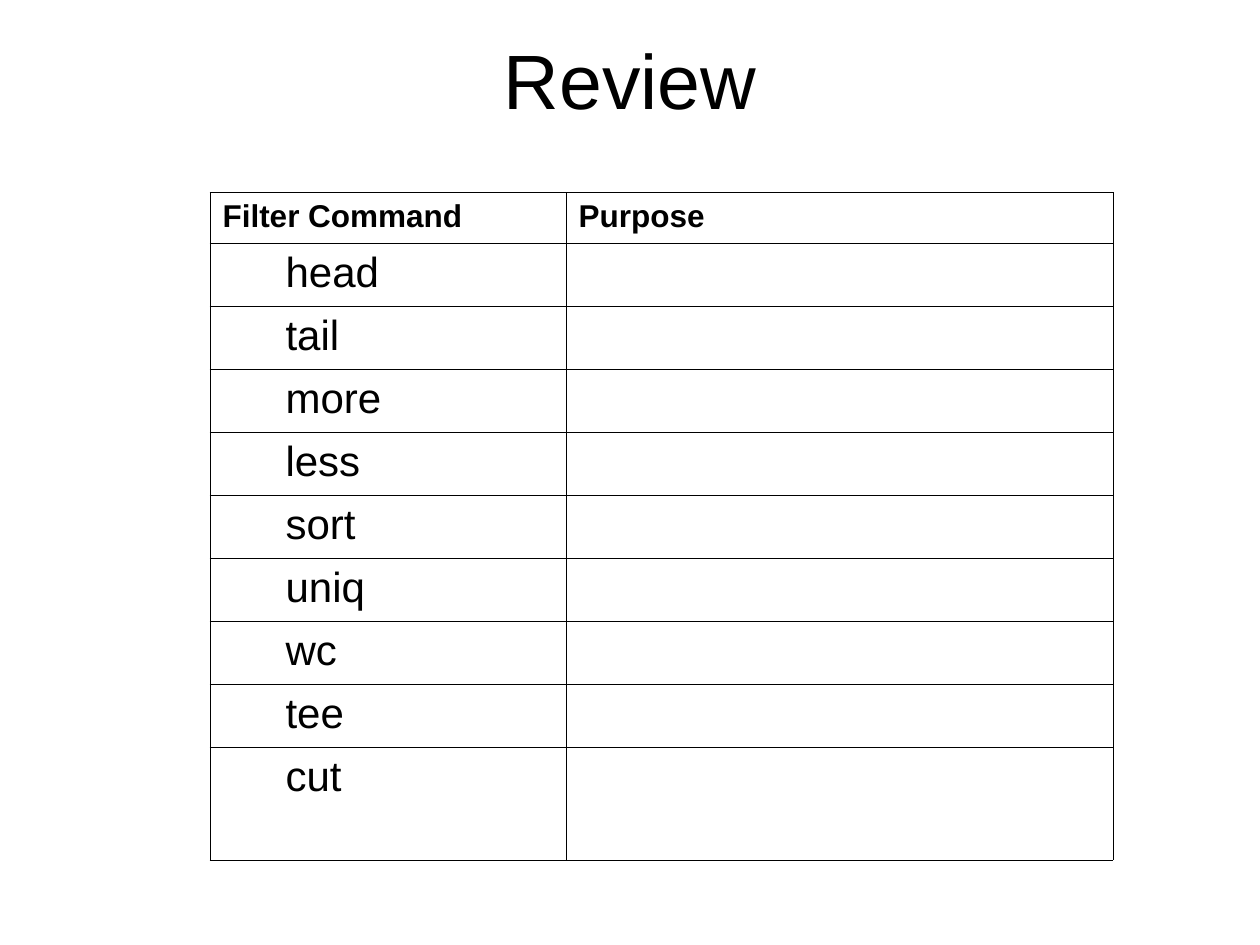
"""Build a review slide with a table of filter commands to fill in."""
from dataclasses import dataclass

from lxml.etree import SubElement
from pptx import Presentation
from pptx.dml.color import RGBColor
from pptx.enum.text import MSO_ANCHOR, PP_ALIGN
from pptx.oxml.ns import qn
from pptx.util import Pt

HEADING = "Review"
COLUMNS = ("Filter Command", "Purpose")
COMMANDS = ("head", "tail", "more", "less", "sort", "uniq", "wc", "tee", "cut")


@dataclass(frozen=True)
class Theme:
    font: str = "Arial"
    ink: str = "000000"
    paper: str = "FFFFFF"
    heading_size: float = 44
    column_size: float = 18
    command_size: float = 24
    rule: float = 0.45


THEME = Theme()
SLIDE_SIZE = (720, 540)
HEADING_BOX = (36, 0, 648, 90)
TABLE_ORIGIN = (120, 110)
COLUMN_WIDTHS = (203.5, 312.5)
ROW_HEIGHTS = (29, *[36] * (len(COMMANDS) - 1), 64.5)
COMMAND_INDENT = 36


def write(frame, text, *, size, bold=False, align=PP_ALIGN.LEFT, level=0, indent=0):
    paragraph = frame.paragraphs[0]
    paragraph.text = text
    paragraph.alignment = align
    paragraph.level = level
    if indent:
        properties = paragraph._p.get_or_add_pPr()
        properties.set("marL", str(Pt(indent)))
        properties.set("indent", "0")
    font = paragraph.font
    font.name = THEME.font
    font.size = Pt(size)
    font.bold = bold
    font.color.rgb = RGBColor.from_string(THEME.ink)


def style_cell(cell):
    properties = cell._tc.get_or_add_tcPr()
    for side in ("a:lnL", "a:lnR", "a:lnT", "a:lnB"):
        line = SubElement(properties, qn(side), w=str(Pt(THEME.rule)))
        ink = SubElement(line, qn("a:solidFill"))
        SubElement(ink, qn("a:srgbClr"), val=THEME.ink)
    cell.fill.solid()
    cell.fill.fore_color.rgb = RGBColor.from_string(THEME.paper)


def add_heading(slide):
    heading = slide.shapes.title
    heading.left, heading.top, heading.width, heading.height = map(Pt, HEADING_BOX)
    heading.text_frame.vertical_anchor = MSO_ANCHOR.MIDDLE
    write(heading.text_frame, HEADING, size=THEME.heading_size, align=PP_ALIGN.CENTER)


def add_commands(slide):
    extent = (sum(COLUMN_WIDTHS), sum(ROW_HEIGHTS))
    table = slide.shapes.add_table(
        len(ROW_HEIGHTS), len(COLUMNS), *map(Pt, TABLE_ORIGIN + extent)
    ).table
    table.horz_banding = False
    for column, width in zip(table.columns, COLUMN_WIDTHS):
        column.width = Pt(width)
    for row, height in zip(table.rows, ROW_HEIGHTS):
        row.height = Pt(height)
    for cell in table.iter_cells():
        style_cell(cell)
    for index, label in enumerate(COLUMNS):
        write(table.cell(0, index).text_frame, label, size=THEME.column_size, bold=True)
    for index, command in enumerate(COMMANDS, start=1):
        write(table.cell(index, 0).text_frame, command, size=THEME.command_size,
              level=1, indent=COMMAND_INDENT)


def main():
    presentation = Presentation()
    presentation.slide_width, presentation.slide_height = map(Pt, SLIDE_SIZE)
    slide = presentation.slides.add_slide(presentation.slide_layouts[5])
    add_heading(slide)
    add_commands(slide)
    presentation.save("out.pptx")


if __name__ == "__main__":
    main()
